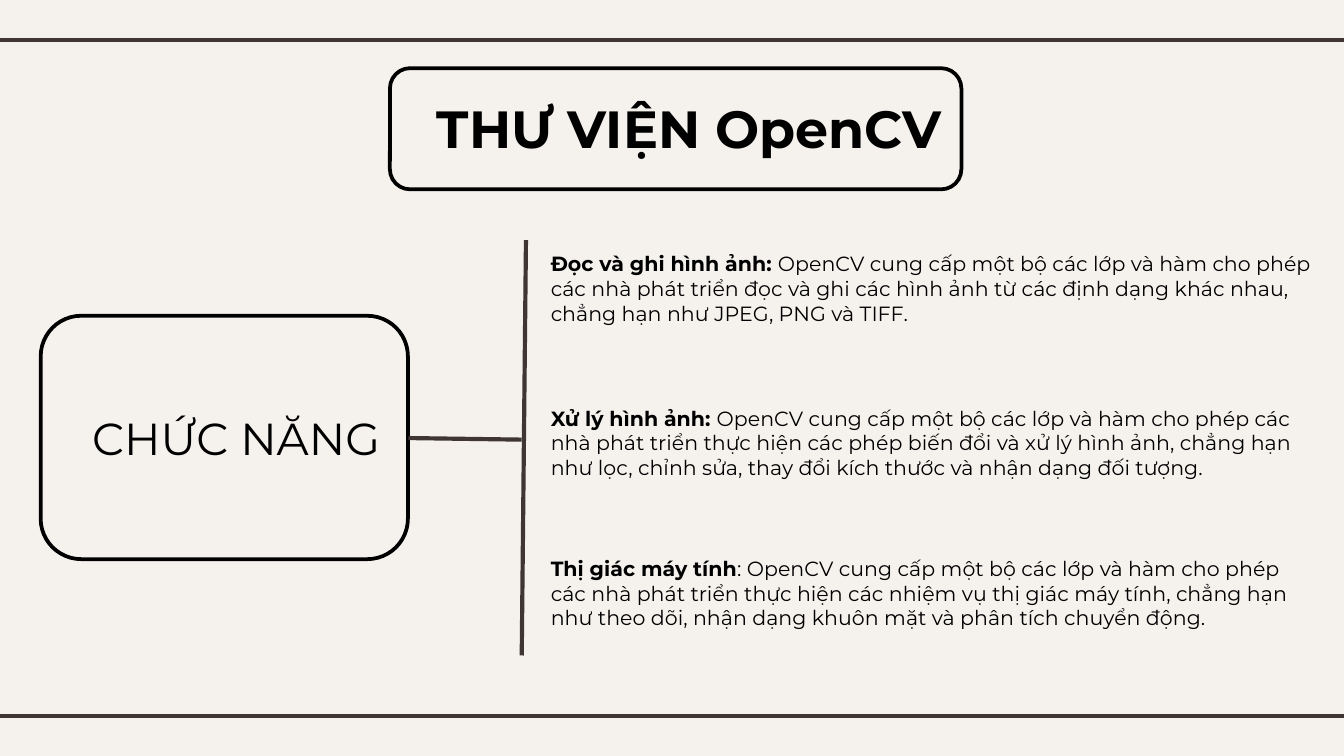
from lxml.etree import SubElement
from pptx import Presentation
from pptx.dml.color import RGBColor
from pptx.enum.shapes import MSO_CONNECTOR, MSO_SHAPE
from pptx.enum.text import MSO_ANCHOR, MSO_AUTO_SIZE, PP_ALIGN
from pptx.oxml.ns import qn
from pptx.util import Cm, Pt

CREAM = RGBColor(0xF5, 0xF2, 0xEE)
BROWN = RGBColor(0x3F, 0x35, 0x33)
BLACK = RGBColor(0, 0, 0)

PAGE_WIDTH, PAGE_HEIGHT = 25.4, 14.29
INTRO = "OpenCV cung cấp một bộ các lớp và hàm cho phép các nhà phát triển "

# Top, height, bold heading, description
FUNCTIONS = [
    (4.5, 1.85, "Đọc và ghi hình ảnh: ",
     INTRO + "đọc và ghi các hình ảnh từ các định dạng khác nhau, "
     "chẳng hạn như JPEG, PNG và TIFF."),
    (7.42, 1.85, "Xử lý hình ảnh: ",
     INTRO + "thực hiện các phép biến đổi và xử lý hình ảnh, chẳng hạn như lọc, "
     "chỉnh sửa, thay đổi kích thước và nhận dạng đối tượng."),
    (10.26, 1.98, "Thị giác máy tính",
     ": " + INTRO + "thực hiện các nhiệm vụ thị giác máy tính, chẳng hạn như "
     "theo dõi, nhận dạng khuôn mặt và phân tích chuyển động."),
]


class SlideBuilder:
    font_name = "Montserrat"
    inset = Cm(0.25)

    def __init__(self, page):
        self.page = page
        fill = page.background.fill
        fill.solid()
        fill.fore_color.rgb = CREAM

    def line(self, x1, y1, x2, y2):
        line = self.page.shapes.add_connector(
            MSO_CONNECTOR.STRAIGHT, Cm(x1), Cm(y1), Cm(x2), Cm(y2))
        line.line.color.rgb = BROWN
        line.line.width = Pt(2.25)
        SubElement(line.element.spPr, qn("a:effectLst"))

    def frame(self, left, top, width, height):
        frame = self.page.shapes.add_shape(
            MSO_SHAPE.ROUNDED_RECTANGLE, Cm(left), Cm(top), Cm(width), Cm(height))
        frame.shadow.inherit = False
        frame.fill.solid()
        frame.fill.fore_color.rgb = CREAM
        frame.line.color.rgb = BLACK
        frame.line.width = Pt(2)
        return frame

    def fill_text(self, box, spans, size, align):
        text = box.text_frame
        text.word_wrap = True
        text.auto_size = MSO_AUTO_SIZE.NONE
        text.vertical_anchor = MSO_ANCHOR.TOP
        text.margin_left = text.margin_right = self.inset
        text.margin_top = text.margin_bottom = self.inset
        para = text.paragraphs[0]
        para.alignment = align
        para.space_before = Pt(0)
        para.space_after = Pt(12)
        for words, bold in spans:
            span = para.add_run()
            span.text = words
            span.font.name = self.font_name
            span.font.size = Pt(size)
            span.font.bold = bold
            span.font.color.rgb = BLACK

    def text(self, left, top, width, height, spans, size, align=PP_ALIGN.LEFT):
        box = self.page.shapes.add_textbox(Cm(left), Cm(top), Cm(width), Cm(height))
        self.fill_text(box, spans, size, align)

    def title(self, left, top, width, height, words, size, frame):
        title = self.page.shapes.title
        title.left, title.top = Cm(left), Cm(top)
        title.width, title.height = Cm(width), Cm(height)
        self.fill_text(title, [(words, True)], size, PP_ALIGN.CENTER)
        # Bring the title in front of its frame
        frame.element.addnext(title.element)


def main():
    deck = Presentation()
    deck.slide_width, deck.slide_height = Cm(PAGE_WIDTH), Cm(PAGE_HEIGHT)
    title_only = deck.slide_layouts.get_by_name("Title Only")
    builder = SlideBuilder(deck.slides.add_slide(title_only))

    # Rules along the top and bottom
    for y in (0.76, 13.54):
        builder.line(-0.2, y, PAGE_WIDTH + 0.2, y)

    # Title
    title_frame = builder.frame(7.37, 1.29, 10.8, 2.29)
    builder.title(5.44, 1.57, 15.16, 2.77, "THƯ VIỆN OpenCV", 28, title_frame)

    # Topic on the left
    builder.frame(0.77, 5.97, 6.94, 4.6)
    builder.text(-3.12, 7.52, 15.16, 2.77, [("CHỨC NĂNG", False)], 24,
                 PP_ALIGN.CENTER)

    # Branch from the topic to its functions
    builder.line(7.72, 8.28, 9.86, 8.31)
    builder.line(9.86, 12.39, 9.94, 4.54)

    # Functions
    for top, height, heading, description in FUNCTIONS:
        builder.text(10.16, top, 15.01, height,
                     [(heading, True), (description, False)], 11)

    deck.save("out.pptx")


if __name__ == "__main__":
    main()
